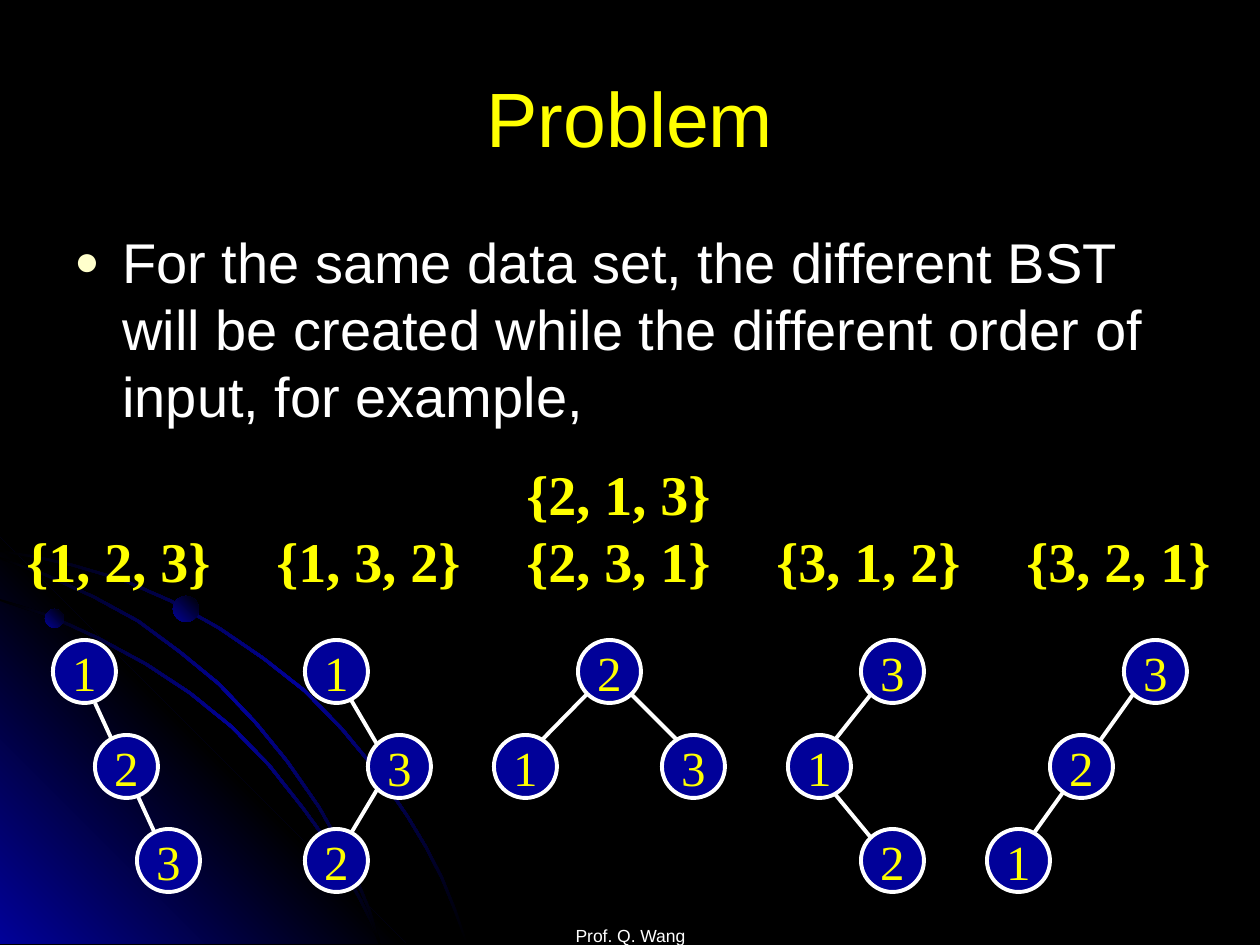
from copy import deepcopy

from pptx import Presentation
from pptx.dml.color import RGBColor
from pptx.enum.shapes import MSO_CONNECTOR as Connector, MSO_SHAPE as Preset
from pptx.enum.text import MSO_ANCHOR as Anchor, MSO_AUTO_SIZE as AutoSize, PP_ALIGN as Align
from pptx.oxml.ns import qn
from pptx.util import Pt
from lxml.etree import SubElement

BLACK = RGBColor(0x00, 0x00, 0x00)
NAVY = RGBColor(0x01, 0x01, 0x99)
WHITE = RGBColor(0xFF, 0xFF, 0xFF)
YELLOW = RGBColor(0xFF, 0xFF, 0x00)
CREAM = RGBColor(0xFF, 0xFF, 0xCC)

SCALE = 914400 / 126
WIDTH, HEIGHT = 1260, 945
FLOOR = 944
NODE_SIZE = 63
LEVELS = (640, 735, 829)

ORBITS = [
    [(0, 552), (35, 558), (71, 566), (122, 581), (170, 602), (218, 629), (262, 659), (304, 692),
     (341, 730), (375, 771), (407, 818), (425, 848), (441, 879), (454, 911), (466, FLOOR)],
    [(0, 601), (49, 617), (97, 639), (145, 665), (189, 694), (231, 728), (268, 766), (302, 809),
     (334, 853), (359, 900), (370, 922), (379, FLOOR)],
    [(0, 559), (45, 576), (93, 598), (137, 622), (179, 653), (218, 685), (255, 724), (286, 762),
     (318, 808), (336, 840), (353, 874), (368, 910), (379, FLOOR)],
]
PLANETS = [(45, 609, 19, 315), (336, 849, 20, 45), (173, 596, 26, 315)]

TREES = [
    ([(95, 703, 158, 840)], [("1", 53, 0), ("2", 95, 1), ("3", 137, 2)]),
    ([(347, 840, 378, 788), (347, 693, 378, 746)], [("1", 305, 0), ("3", 368, 1), ("2", 305, 2)]),
    ([(630, 693, 683, 746), (588, 693, 536, 746)], [("1", 494, 1), ("2", 578, 0), ("3", 662, 1)]),
    ([(830, 788, 882, 851), (872, 693, 830, 746)], [("1", 788, 1), ("2", 861, 2), ("3", 861, 0)]),
    ([(1134, 693, 1029, 840)], [("1", 987, 2), ("2", 1050, 1), ("3", 1124, 0)]),
]
ORDERS = [["{1, 2, 3}"], ["{1, 3, 2}"], ["{2, 1, 3}", "{2, 3, 1}"], ["{3, 1, 2}"], ["{3, 2, 1}"]]


def emu(*lengths):
    """Turn px lengths into EMU."""
    return [round(length * SCALE) for length in lengths]


def write(para, text, size=32, font="Arial", color=WHITE, bold=False, align=Align.LEFT):
    """Put formatted text into a paragraph."""
    para.alignment = align
    span = para.add_run()
    span.text = text
    span.font.size = Pt(size)
    span.font.name = font
    span.font.bold = bold
    span.font.color.rgb = color


def add_bullet(para, mark, indent):
    """Give a paragraph a hanging bullet."""
    props = para._p.get_or_add_pPr()
    hang = emu(indent)[0]
    props.set("marL", str(hang))
    props.set("indent", str(-hang))
    SubElement(SubElement(props, qn("a:buClr")), qn("a:srgbClr"), val=str(CREAM))
    SubElement(props, qn("a:buSzPct"), val="75000")
    SubElement(props, qn("a:buFont"), typeface="Arial")
    SubElement(props, qn("a:buChar"), char=mark)


class Painter:
    """Holds the style and the current slide."""

    def __init__(self, page, line_width=2.25):
        self.page = page
        self.line_width = Pt(line_width)
        self.page.background.fill.solid()
        self.page.background.fill.fore_color.rgb = BLACK

    def gradient(self, shape, colors, angle):
        """Fill an unlined shape with evenly spaced colours, angle clockwise."""
        shape.shadow.inherit = False
        shape.line.fill.background()
        shape.fill.gradient()
        shape.fill.gradient_angle = 360 - angle
        stop_list = shape._element.spPr.find(".//" + qn("a:gsLst"))
        for _ in colors[2:]:
            stop_list.append(deepcopy(stop_list[0]))
        for index, (stop, color) in enumerate(zip(shape.fill.gradient_stops, colors)):
            stop.color.rgb = color
            stop.position = index / (len(colors) - 1)

    def outline(self, group, points, colors, angle):
        """Draw a closed polygon."""
        builder = group.shapes.build_freeform(*points[0], scale=SCALE)
        builder.add_line_segments(points[1:], close=True)
        self.gradient(builder.convert_to_shape(), colors, angle)

    def orbit(self, group, lower):
        """Draw a thin curved strip above its lower edge."""
        upper = [(x + 2 if x else 0, y - 2 if y < FLOOR else y) for x, y in lower]
        self.outline(group, lower + upper[::-1], (BLACK, NAVY, BLACK), 45)

    def planet(self, group, left, top, size, angle):
        """Draw a shaded dot."""
        dot = group.shapes.add_shape(Preset.OVAL, *emu(left, top, size, size))
        self.gradient(dot, (NAVY, BLACK), angle)

    def backdrop(self):
        """Draw the glowing corner with its orbits."""
        group = self.page.shapes.add_group_shape()
        self.outline(group, [(0, 538), (406, FLOOR), (0, FLOOR)], (NAVY, BLACK, NAVY), 315)
        for lower in ORBITS:
            self.orbit(group, lower)
        for planet in PLANETS:
            self.planet(group, *planet)

    def title(self, text, *area):
        """Place and fill the title placeholder."""
        box = self.page.shapes.title
        box.left, box.top, box.width, box.height = emu(*area)
        box.text_frame.vertical_anchor = Anchor.MIDDLE
        box.text_frame.auto_size = AutoSize.NONE
        write(box.text_frame.paragraphs[0], text, size=44, color=YELLOW, align=Align.CENTER)

    def text(self, lines, *area, wrap=True, anchor=Anchor.TOP, bullet=None, **style):
        """Add a text box with one paragraph per line."""
        frame = self.page.shapes.add_textbox(*emu(*area)).text_frame
        frame.word_wrap = wrap
        frame.auto_size = AutoSize.NONE if wrap else AutoSize.SHAPE_TO_FIT_TEXT
        frame.vertical_anchor = anchor
        if anchor == Anchor.BOTTOM:
            frame.margin_bottom = 0
        for index, line in enumerate(lines):
            para = frame.add_paragraph() if index else frame.paragraphs[0]
            write(para, line, **style)
            if bullet:
                add_bullet(para, bullet, 48)

    def edge(self, group, *ends):
        """Draw a straight tree edge."""
        line = group.shapes.add_connector(Connector.STRAIGHT, *emu(*ends))
        line.line.color.rgb = WHITE
        line.line.width = self.line_width
        SubElement(line._element.spPr, qn("a:effectLst"))

    def node(self, group, label, left, level):
        """Draw a numbered tree node."""
        circle = group.shapes.add_shape(Preset.OVAL, *emu(left, LEVELS[level], NODE_SIZE, NODE_SIZE))
        circle.shadow.inherit = False
        circle.fill.solid()
        circle.fill.fore_color.rgb = NAVY
        circle.line.color.rgb = WHITE
        circle.line.width = self.line_width
        frame = circle.text_frame
        frame.word_wrap = False
        frame.vertical_anchor = Anchor.MIDDLE
        write(frame.paragraphs[0], label, size=28, font="Times New Roman", color=YELLOW,
              align=Align.CENTER)

    def tree(self, edges, nodes):
        """Draw one search tree as a group."""
        group = self.page.shapes.add_group_shape()
        for edge in edges:
            self.edge(group, *edge)
        for node in nodes:
            self.node(group, *node)


def main():
    """Build the slide and save it."""
    deck = Presentation()
    deck.slide_width, deck.slide_height = emu(WIDTH, HEIGHT)
    painter = Painter(deck.slides.add_slide(deck.slide_layouts[5]))
    painter.backdrop()
    painter.text(["Prof. Q. Wang"], 431, 883, 399, 63, anchor=Anchor.BOTTOM, size=10,
                 align=Align.CENTER)
    painter.title("Problem", 63, 38, 1134, 158)
    painter.text(["For the same data set, the different BST will be created while the different "
                  "order of input, for example,"], 62, 221, 1134, 624, bullet="●")
    for tree in TREES:
        painter.tree(*tree)
    for column, lines in enumerate(ORDERS):
        extra = 67 * (len(lines) - 1)
        painter.text(lines, 14 + 250 * column, 520 - extra, 212, 81 + extra, wrap=False,
                     font="Times New Roman", color=YELLOW, bold=True)
    deck.save("out.pptx")


if __name__ == "__main__":
    main()
